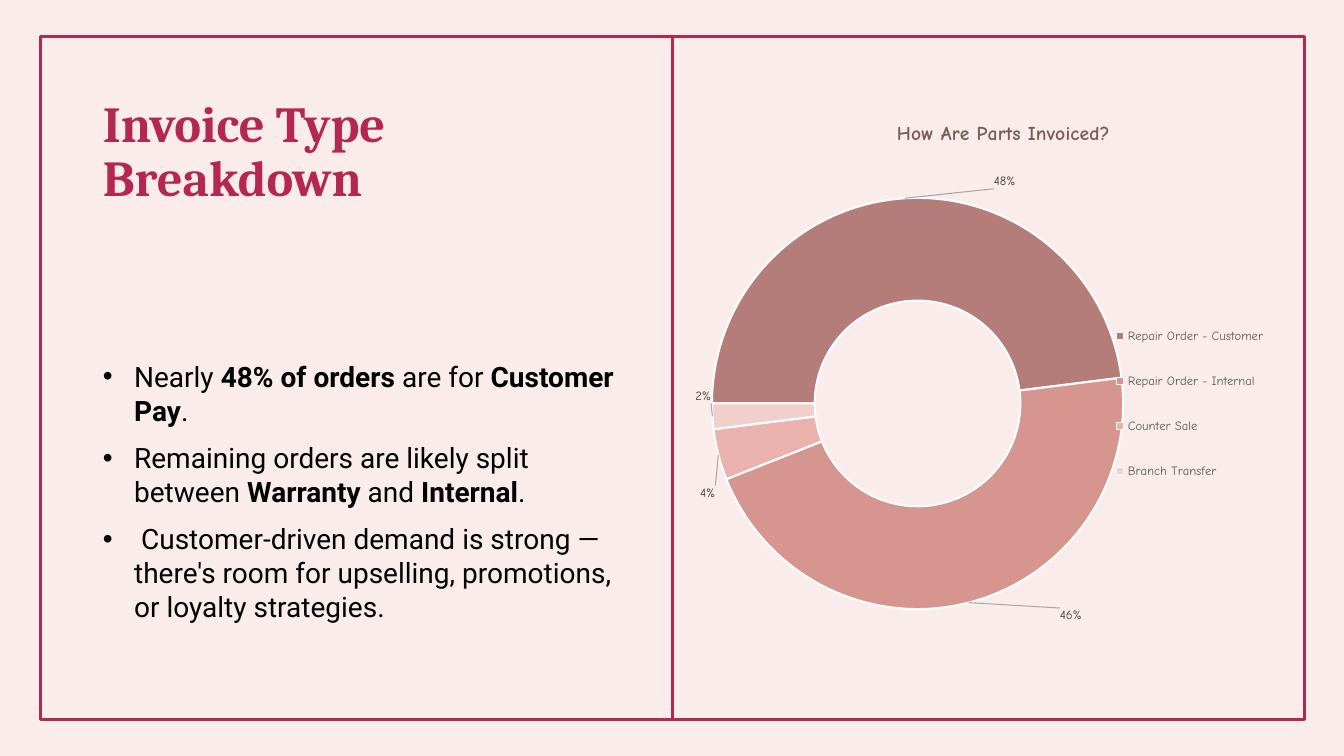
from lxml import etree
from pptx import Presentation
from pptx.chart.data import CategoryChartData
from pptx.dml.color import RGBColor
from pptx.enum.chart import XL_CHART_TYPE, XL_LEGEND_POSITION
from pptx.enum.shapes import MSO_CONNECTOR, MSO_SHAPE
from pptx.enum.text import MSO_ANCHOR
from pptx.oxml import parse_xml
from pptx.oxml.ns import nsdecls, qn
from pptx.util import Cm, Pt

COLORS = {
    "background": "FAECEB", "accent": "B32752", "body": "000000",
    "chart_title": "775F55", "legend": "595959", "label": "404040",
    "leader": "A6A6A6", "gap": "FFFFFF",
}
FORMATS = {
    "title": {"name": "Cambria", "size": Pt(36), "bold": True},
    "body": {"name": "Roboto", "size": Pt(20)},
    "chart_title": {"name": "Comic Neue", "size": Pt(14), "bold": True},
    "legend": {"name": "Comic Neue", "size": Pt(9)},
    "label": {"name": "Comic Neue", "size": Pt(9)},
}
BULLETS = [
    [("Nearly ", False), ("48% of orders", True), (" are for ", False),
     ("Customer Pay", True), (".", False)],
    [("Remaining orders are likely split between ", False), ("Warranty", True),
     (" and ", False), ("Internal", True), (".", False)],
    [(" Customer-driven demand is strong — there's room for upselling, "
      "promotions, or loyalty strategies.", False)],
]
INVOICES = [
    ("Repair Order - Customer", 48, "B57D7A", (0.16, -0.12)),
    ("Repair Order - Internal", 46, "D79590", (0.19, 0.11)),
    ("Counter Sale", 4, "EAB1AD", (-0.1, 0.09)),
    ("Branch Transfer", 2, "F1CFCC", (-0.1, -0.03)),
]


def color(name):
    return RGBColor.from_string(COLORS[name])


def style_font(font, kind, tone):
    for key, value in FORMATS[kind].items():
        setattr(font, key, value)
    font.color.rgb = color(tone)


def add_frame(page, box):
    frame = page.shapes.add_shape(MSO_SHAPE.RECTANGLE, *map(Cm, box))
    frame.shadow.inherit = False
    frame.fill.background()
    divider = page.shapes.add_connector(MSO_CONNECTOR.STRAIGHT, 0, 0, 0, 0)
    divider.begin_connect(frame, 0)
    divider.end_connect(frame, 2)
    etree.SubElement(divider._element.spPr, qn("a:effectLst"))
    for item in (frame, divider):
        item.line.color.rgb = color("accent")
        item.line.width = Pt(2.25)


def add_text_area(page, box, anchor):
    area = page.shapes.add_textbox(*map(Cm, box)).text_frame
    area.word_wrap = True
    area.vertical_anchor = anchor
    return area


def add_message(page, box):
    left, top, width, height = box
    inner_left, inner_width = left + 1.32, width - 2.46
    title = add_text_area(
        page, (inner_left, top + 1.45, inner_width, 6), MSO_ANCHOR.TOP)
    para = title.paragraphs[0]
    para.line_spacing = 0.9
    span = para.add_run()
    span.text = "Invoice Type Breakdown"
    style_font(span.font, "title", "accent")

    body = add_text_area(
        page, (inner_left, top + 8.03, inner_width, 6.88), MSO_ANCHOR.BOTTOM)
    for index, parts in enumerate(BULLETS):
        para = body.add_paragraph() if index else body.paragraphs[0]
        para.space_before = Pt(10)
        settings = para._p.get_or_add_pPr()
        settings.set("marL", str(Cm(0.79)))
        settings.set("indent", str(-Cm(0.79)))
        for tag, key, value in (("a:buFont", "typeface", "Arial"),
                                ("a:buChar", "char", "•")):
            etree.SubElement(settings, qn(tag)).set(key, value)
        for text, bold in parts:
            span = para.add_run()
            span.text = text
            style_font(span.font, "body", "body")
            span.font.bold = bold


def layout_xml(x, y, size=None, inner=False):
    target = '<c:layoutTarget val="inner"/>' if inner else ""
    modes = '<c:xMode val="edge"/><c:yMode val="edge"/>' if size or inner else ""
    extent = f'<c:w val="{size[0]}"/><c:h val="{size[1]}"/>' if size else ""
    return (f'<c:layout {nsdecls("c")}><c:manualLayout>{target}{modes}'
            f'<c:x val="{x}"/><c:y val="{y}"/>{extent}</c:manualLayout></c:layout>')


def set_layout(element, layout, after=None):
    for old in element.findall(qn("c:layout")):
        element.remove(old)
    anchor = element.find(qn(after)) if after else None
    position = 0 if anchor is None else element.index(anchor) + 1
    element.insert(position, parse_xml(layout))


def label_slices(series):
    labels = series.data_labels
    labels.show_percentage = True
    labels.show_value = False
    style_font(labels.font, "label", "label")
    holder = labels._element
    shows = {"LegendKey": 0, "Val": 0, "CatName": 0, "SerName": 0,
             "Percent": 1, "BubbleSize": 0}
    flags = "".join(f'<c:show{key} val="{on}"/>' for key, on in shows.items())
    for index, (_, _, _, offset) in enumerate(INVOICES):
        holder.insert(index, parse_xml(
            f'<c:dLbl {nsdecls("c")}><c:idx val="{index}"/>'
            f'{layout_xml(*offset)}{flags}</c:dLbl>'))
    for old in holder.findall(qn("c:showLeaderLines")):
        holder.remove(old)
    holder.append(parse_xml(f'<c:showLeaderLines {nsdecls("c")} val="1"/>'))
    holder.append(parse_xml(
        f'<c:leaderLines {nsdecls("c", "a")}><c:spPr><a:ln w="9525"><a:solidFill>'
        f'<a:srgbClr val="{COLORS["leader"]}"/></a:solidFill></a:ln></c:spPr>'
        '</c:leaderLines>'))


def add_invoice_chart(page, box):
    left, top, _, _ = box
    data = CategoryChartData()
    data.categories = [name for name, _, _, _ in INVOICES]
    data.add_series("Series 1", [share for _, share, _, _ in INVOICES])
    chart = page.shapes.add_chart(
        XL_CHART_TYPE.DOUGHNUT, Cm(left + 0.54), Cm(top + 1.45),
        Cm(15.24), Cm(14.33), data).chart
    chart.font.name, chart.font.size = "Roboto", Pt(10)

    title = chart.chart_title.text_frame
    title.text = "How Are Parts Invoiced?"
    style_font(title.paragraphs[0].runs[0].font, "chart_title", "chart_title")
    set_layout(chart.chart_title._element,
               layout_xml(0.33, 0.04, inner=True), "c:tx")

    chart.has_legend = True
    legend = chart.legend
    legend.position = XL_LEGEND_POSITION.RIGHT
    legend.include_in_layout = False
    style_font(legend.font, "legend", "legend")
    set_layout(legend._element, layout_xml(0.68, 0.36, (0.28, 0.37)),
               "c:legendPos")

    plot = chart.plots[0]
    plot.vary_by_categories = True
    series = plot.series[0]
    for index, (_, _, fill, _) in enumerate(INVOICES):
        slice_format = series.points[index].format
        slice_format.fill.solid()
        slice_format.fill.fore_color.rgb = RGBColor.from_string(fill)
        slice_format.line.color.rgb = color("gap")
        slice_format.line.width = Pt(1.5)
    label_slices(series)

    ring = plot._element
    for tag, value in (("c:firstSliceAng", "270"), ("c:holeSize", "50")):
        ring.find(qn(tag)).set("val", value)
    set_layout(ring.getparent(),
               layout_xml(0.03, 0.18, (0.68, 0.73), inner=True))


def build_invoice_page(deck):
    page = deck.slides.add_slide(deck.slide_layouts[6])
    page.background.fill.solid()
    page.background.fill.fore_color.rgb = color("background")
    left, top, width, height = frame = (1.02, 0.91, 31.85, 17.22)
    half = width / 2
    add_frame(page, frame)
    add_message(page, (left, top, half, height))
    add_invoice_chart(page, (left + half, top, half, height))


def main():
    deck = Presentation()
    deck.slide_width, deck.slide_height = Cm(33.87), Cm(19.05)
    build_invoice_page(deck)
    deck.save("out.pptx")


if __name__ == "__main__":
    main()
